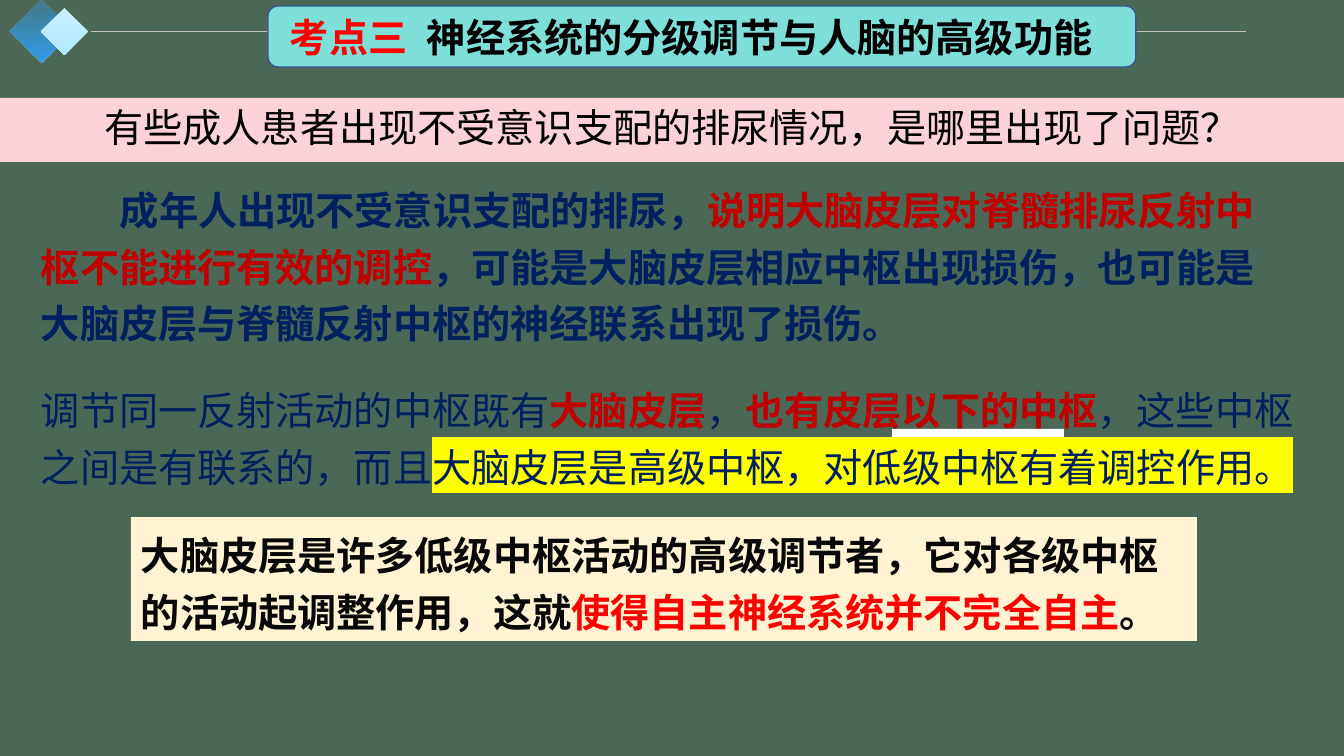
from lxml import etree
from pptx import Presentation
from pptx import util as u
from pptx.dml.color import RGBColor
from pptx.enum import shapes, text
from pptx.oxml import ns

PX = 914400 / 100.8
FONT = "Noto Sans CJK SC"
GREEN = RGBColor(0x4B, 0x67, 0x56)
BLUE = RGBColor(0x33, 0x9E, 0xEC)
ICE = RGBColor(0xCB, 0xF0, 0xFE)
SKY = RGBColor(0xB2, 0xE9, 0xFD)
GREY = RGBColor(0xBF, 0xBF, 0xBF)
TEAL = RGBColor(0x7D, 0xDF, 0xD7)
OUTLINE = RGBColor(0x35, 0x56, 0x96)
PINK = RGBColor(0xFA, 0xD2, 0xD8)
CREAM = RGBColor(0xFE, 0xF4, 0xD3)
WHITE = RGBColor(0xFF, 0xFF, 0xFF)
YELLOW = RGBColor(0xFF, 0xFF, 0x00)
BLACK = RGBColor(0x00, 0x00, 0x00)
INK = RGBColor(0x08, 0x08, 0x08)
NAVY = RGBColor(0x00, 0x20, 0x60)
RED = RGBColor(0xFF, 0x00, 0x00)
CRIMSON = RGBColor(0xC0, 0x00, 0x00)


def px(length):
    """Turn pixels into EMU."""
    return u.Emu(round(length * PX))


def add_child(parent, tag, **attributes):
    """Append a DrawingML element and return it."""
    child = etree.SubElement(parent, ns.qn(tag))
    for key, value in attributes.items():
        child.set(key, str(value))
    return child


def add_panel(slide, box, kind=shapes.MSO_SHAPE.RECTANGLE, color=None):
    """Place a shape without outline or shadow in a pixel box."""
    panel = slide.shapes.add_shape(kind, *map(px, box))
    panel.shadow.inherit = False
    panel.line.fill.background()
    if color is not None:
        panel.fill.solid()
        panel.fill.fore_color.rgb = color
    return panel


def add_diamond(slide, box, top, bottom, opacity=100):
    """Draw a diamond shaded from top to bottom."""
    fill = add_panel(slide, box, shapes.MSO_SHAPE.DIAMOND).fill
    fill.gradient()
    fill.gradient_angle = 270
    for stop, color, position in zip(fill.gradient_stops, (top, bottom), (0, 1)):
        stop.color.rgb = color
        stop.position = position
    if opacity < 100:
        first_color = fill._fill._gradFill.find(".//" + ns.qn("a:srgbClr"))
        add_child(first_color, "a:alpha", val=opacity * 1000)


def write_passage(panel, parts, spacing=1.0, indent=0, tab=0,
                  align=text.PP_ALIGN.LEFT, anchor=text.MSO_ANCHOR.TOP):
    """Write one paragraph from (wording, color, bold, highlight) parts."""
    frame = panel.text_frame
    frame.word_wrap = True
    frame.vertical_anchor = anchor
    passage = frame.paragraphs[0]
    passage.alignment = align
    passage.line_spacing = spacing
    properties = passage._p.get_or_add_pPr()
    if indent:
        properties.set("marL", "0")
        properties.set("indent", str(px(indent)))
    if tab:
        stops = add_child(properties, "a:tabLst")
        add_child(stops, "a:tab", pos=px(tab), algn="l")
    passage.font.size = u.Pt(28)
    passage.font.name = FONT
    add_child(properties.find(ns.qn("a:defRPr")), "a:ea", typeface=FONT)
    for wording, color, bold, highlight in parts:
        run = passage.add_run()
        run.text = wording
        run.font.color.rgb = color
        run.font.bold = bold
        run_properties = run._r.get_or_add_rPr()
        if highlight is not None:
            mark = add_child(run_properties, "a:highlight")
            add_child(mark, "a:srgbClr", val=highlight)
        add_child(run_properties, "a:ea", typeface=FONT)


def add_header(slide, box):
    """Draw the diamonds, the rule and the topic banner."""
    left, top, width, height = box
    add_diamond(slide, (left, top, 63, 63), BLUE, BLUE, 33)
    add_diamond(slide, (left + 31, top + 8, 47, 47), ICE, SKY)
    middle = px(top + height / 2)
    rule = slide.shapes.add_connector(
        shapes.MSO_CONNECTOR.STRAIGHT, px(left + 81), middle, px(left + width), middle)
    rule.line.color.rgb = GREY
    rule.line.width = u.Pt(0.5)
    add_child(rule._element.spPr, "a:effectLst")

    banner = add_panel(slide, (left + 258, top + 6, 868, 61),
                       shapes.MSO_SHAPE.FLOWCHART_ALTERNATE_PROCESS, TEAL)
    banner.line.color.rgb = OUTLINE
    banner.line.width = u.Pt(1)
    banner.text_frame.margin_left = px(19)
    write_passage(banner, [("考点三\t", RED, True, None),
                           ("神经系统的分级调节与人脑的高级功能", BLACK, True, None)],
                  tab=137, anchor=text.MSO_ANCHOR.MIDDLE)


def add_question(slide, box):
    """Draw the question band."""
    write_passage(add_panel(slide, box, color=PINK),
                  [("有些成人患者出现不受意识支配的排尿情况，是哪里出现了问题？", BLACK, False, None)],
                  align=text.PP_ALIGN.CENTER)


def add_answer(slide, box):
    """Write the explanation of the question."""
    answer = slide.shapes.add_textbox(*map(px, box))
    write_passage(answer, [
        ("成年人出现不受意识支配的排尿，", NAVY, True, None),
        ("说明大脑皮层对脊髓排尿反射中枢不能进行有效的调控", CRIMSON, True, None),
        ("，可能是大脑皮层相应中枢出现损伤，也可能是大脑皮层与脊髓反射中枢的神经联系出现了损伤。",
         NAVY, True, None),
    ], spacing=1.2, indent=79)


def add_centres(slide, box):
    """Write how the centres relate, over a white patch."""
    left, top, width, height = box
    add_panel(slide, (left + 861, top + 57, 172, 54), color=WHITE)
    centres = slide.shapes.add_textbox(*map(px, box))
    write_passage(centres, [
        ("调节同一反射活动的中枢既有", NAVY, False, None),
        ("大脑皮层", CRIMSON, True, None),
        ("，", NAVY, False, None),
        ("也有皮层以下的中枢", CRIMSON, True, None),
        ("，这些中枢之间是有联系的，而且", NAVY, False, None),
        ("大脑皮层是高级中枢，对低级中枢有着调控作用。", NAVY, False, YELLOW),
    ], spacing=1.2)


def add_conclusion(slide, box):
    """Draw the conclusion panel."""
    write_passage(add_panel(slide, box, color=CREAM), [
        ("大脑皮层是许多低级中枢活动的高级调节者，它对各级中枢的活动起调整作用，这就",
         INK, True, None),
        ("使得自主神经系统并不完全自主", RED, True, None),
        ("。", INK, True, None),
    ], spacing=1.2)


def main():
    """Build and save the slide."""
    deck = Presentation()
    deck.slide_width, deck.slide_height = px(1344), px(756)
    slide = deck.slides.add_slide(deck.slide_layouts[6])
    slide.background.fill.solid()
    slide.background.fill.fore_color.rgb = GREEN
    add_header(slide, (10, 0, 1236, 62))
    add_question(slide, (0, 98, 1344, 64))
    add_answer(slide, (31, 172, 1265, 190))
    add_centres(slide, (31, 372, 1283, 124))
    add_conclusion(slide, (131, 517, 1066, 124))
    deck.save("out.pptx")


if __name__ == "__main__":
    main()
